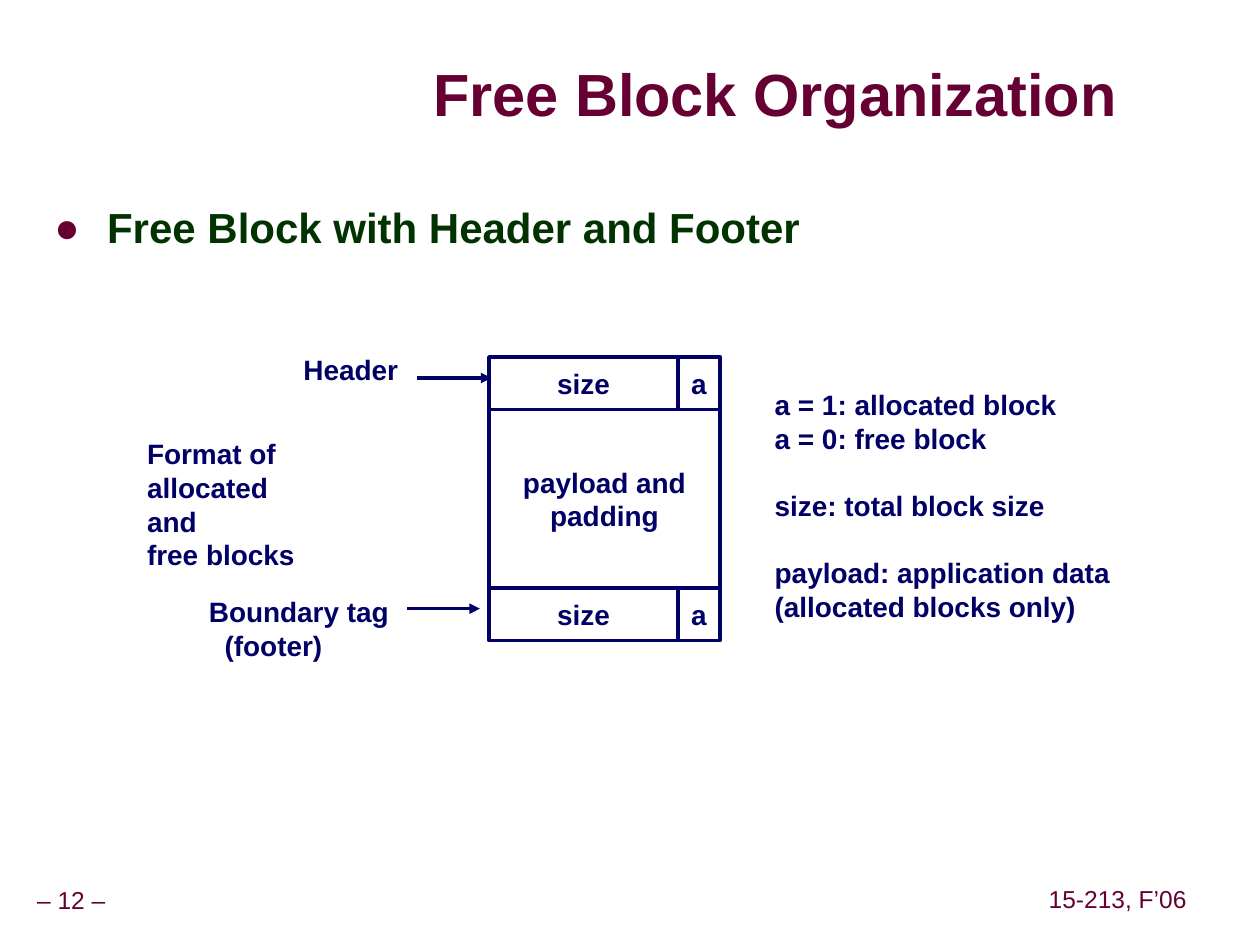
import pptx
import pptx.util
import pptx.dml.color
import pptx.enum.shapes
import pptx.enum.text
import pptx.oxml
import pptx.oxml.ns
import lxml.etree

Pt = pptx.util.Pt
RGBColor = pptx.dml.color.RGBColor
ALIGN = pptx.enum.text.PP_ALIGN
ANCHOR = pptx.enum.text.MSO_ANCHOR
qn = pptx.oxml.ns.qn

MAROON = RGBColor(0x66, 0x00, 0x33)
GREEN = RGBColor(0x00, 0x33, 0x00)
NAVY = RGBColor(0x00, 0x00, 0x66)
WHITE = RGBColor(0xFF, 0xFF, 0xFF)
SHADOW = RGBColor(0x99, 0x99, 0x99)

FONT = "Arial"
LINE_PITCH = 19.2

TITLE = "Free Block Organization"
BULLET = "Free Block with Header and Footer"
FOOTERS = [("– 12 –", -6.5, 504, 94.5), ("15-213, F’06", 595.5, 503.3, 86.4)]

BLOCK_LEFT, BLOCK_TOP = 279.4, 204
SIZE_W, FLAG_W = 108, 24
BLOCK_ROWS = [
    (30, [("size", SIZE_W), ("a", FLAG_W)]),
    (102, [("payload and\npadding", SIZE_W + FLAG_W)]),
    (30, [("size", SIZE_W), ("a", FLAG_W)]),
]

LABELS = [
    (166.3, 198, 68.4, 26.6, ["Header"]),
    (77, 246.2, 116, 64.8, ["Format of\nallocated and\nfree blocks"]),
    (112.3, 336.2, 117.4, 46, ["Boundary tag\n(footer)"]),
    (435.6, 218.2, 206, 161.3, [
        "a = 1: allocated block\na = 0: free block",
        "size: total block size",
        "payload: application data\n(allocated blocks only)",
    ]),
]
FOOTER_INDENT = 9

ARROWS = [(238.3, 280.8, 216), (232.6, 274.3, 347.8)]


def format_text(tf, size, color, bold=True, align=ALIGN.LEFT, spacing=None):
    for p in tf.paragraphs:
        p.alignment = align
        p.line_spacing = spacing
        for r in p.runs:
            r.font.name = FONT
            r.font.size = Pt(size)
            r.font.bold = bold
            r.font.color.rgb = color


def set_margins(tf, x, y):
    tf.margin_left = tf.margin_right = Pt(x)
    tf.margin_top = tf.margin_bottom = Pt(y)


def place(sp, left, top, width, height):
    sp.left, sp.top, sp.width, sp.height = (
        Pt(v) for v in (left, top, width, height))


def add_title(s):
    sp = s.shapes.title
    place(sp, 30.2, 33.1, 624.2, 45.4)
    tf = sp.text_frame
    tf.text = TITLE
    tf.auto_size = pptx.enum.text.MSO_AUTO_SIZE.NONE
    tf.vertical_anchor = ANCHOR.MIDDLE
    set_margins(tf, 0, 0)
    format_text(tf, 34, MAROON, spacing=0.87)
    p = tf.paragraphs[0]
    p._p.get_or_add_pPr().set("marL", str(Pt(217.5)))
    rPr = p.runs[0].font._element
    effects = lxml.etree.Element(qn("a:effectLst"))
    shadow = lxml.etree.SubElement(
        effects, qn("a:outerShdw"), dist=str(Pt(3)), dir="2700000")
    lxml.etree.SubElement(shadow, qn("a:srgbClr"), val=str(SHADOW))
    rPr.find(qn("a:solidFill")).addnext(effects)


def add_body(s):
    sp = s.placeholders[1]
    place(sp, 23.8, 113.8, 654.5, 324)
    tf = sp.text_frame
    tf.text = BULLET
    tf.auto_size = pptx.enum.text.MSO_AUTO_SIZE.NONE
    set_margins(tf, 7.2, 3.6)
    p = tf.paragraphs[0]
    pPr = p._p.get_or_add_pPr()
    pPr.set("marL", str(Pt(30.2)))
    pPr.set("indent", str(Pt(-30.2)))
    color = lxml.etree.SubElement(pPr, qn("a:buClr"))
    lxml.etree.SubElement(color, qn("a:srgbClr"), val=str(MAROON))
    lxml.etree.SubElement(pPr, qn("a:buChar"), char="●")
    p.space_before = Pt(0)
    format_text(tf, 24, GREEN, spacing=0.95)


def add_text_box(s, left, top, width, height, text):
    sp = s.shapes.add_textbox(Pt(left), Pt(top), Pt(width), Pt(height))
    tf = sp.text_frame
    tf.text = text
    tf.word_wrap = False
    return tf


def add_footers(s):
    for text, left, top, width in FOOTERS:
        tf = add_text_box(s, left, top, width, 22.3, text)
        tf.vertical_anchor = ANCHOR.MIDDLE
        set_margins(tf, 3.6, 3.6)
        format_text(tf, 14, MAROON, False, ALIGN.CENTER, 0.9)


def add_block(s):
    top = BLOCK_TOP
    for height, cells in BLOCK_ROWS:
        left = BLOCK_LEFT
        for text, width in cells:
            sp = s.shapes.add_shape(
                pptx.enum.shapes.MSO_SHAPE.RECTANGLE,
                Pt(left), Pt(top), Pt(width), Pt(height))
            sp.shadow.inherit = False
            sp.fill.solid()
            sp.fill.fore_color.rgb = WHITE
            sp.line.color.rgb = NAVY
            sp.line.width = Pt(2)
            tf = sp.text_frame
            tf.text = text
            tf.word_wrap = False
            tf.vertical_anchor = ANCHOR.MIDDLE
            format_text(tf, 16, NAVY, align=ALIGN.CENTER, spacing=Pt(LINE_PITCH))
            left += width
        top += height


def add_labels(s):
    for left, top, width, height, groups in LABELS:
        tf = add_text_box(s, left, top, width, height, "\n".join(groups))
        format_text(tf, 16, NAVY, spacing=Pt(LINE_PITCH))
        first = 0
        for group in groups:
            if first:
                tf.paragraphs[first].space_before = Pt(LINE_PITCH)
            first += len(group.split("\n"))
        for p in tf.paragraphs:
            if p.text == "(footer)":
                p._p.get_or_add_pPr().set("marL", str(Pt(FOOTER_INDENT)))


def add_arrows(s):
    for x1, x2, y in ARROWS:
        c = s.shapes.add_connector(
            pptx.enum.shapes.MSO_CONNECTOR.STRAIGHT,
            Pt(x1), Pt(y), Pt(x2), Pt(y))
        c.line.color.rgb = NAVY
        c.line.width = Pt(2)
        lxml.etree.SubElement(
            c.line._get_or_add_ln(), qn("a:tailEnd"), type="triangle")
        lxml.etree.SubElement(c._element.spPr, qn("a:effectLst"))


def main():
    prs = pptx.Presentation()
    prs.slide_width, prs.slide_height = Pt(720), Pt(540)
    s = prs.slides.add_slide(prs.slide_layouts[1])
    add_footers(s)
    add_title(s)
    add_body(s)
    add_block(s)
    add_labels(s)
    add_arrows(s)
    prs.save("out.pptx")


if __name__ == "__main__":
    main()
